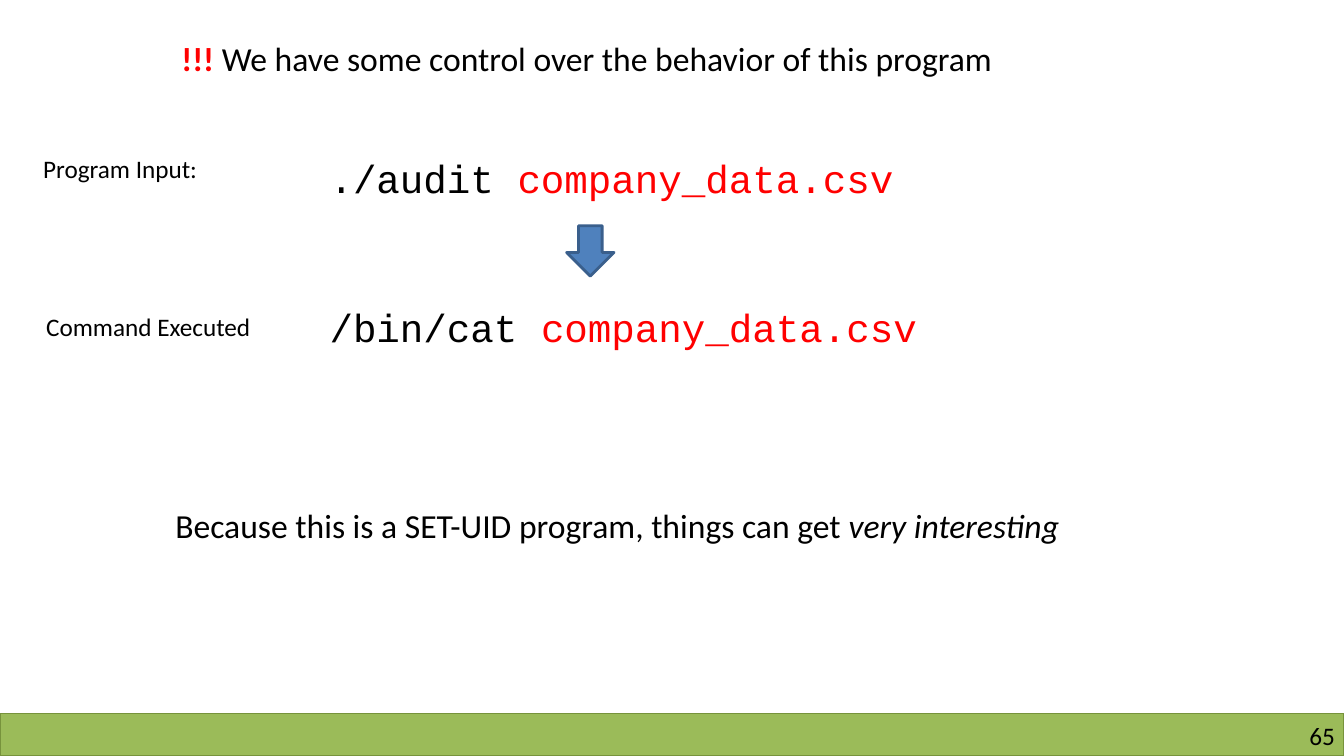
from pptx import Presentation
from pptx.dml.color import RGBColor
from pptx.enum.shapes import MSO_SHAPE
from pptx.enum.text import PP_ALIGN
from pptx.util import Inches, Pt

RECTANGLE = MSO_SHAPE.RECTANGLE
DOWN_ARROW = MSO_SHAPE.DOWN_ARROW
LEFT, RIGHT = PP_ALIGN.LEFT, PP_ALIGN.RIGHT

COLORS = {
    "text": "000000",
    "input": "FF0000",
    "bar": "9BBB59",
    "bar_line": "77933C",
    "arrow": "4F81BD",
    "arrow_line": "3A5F8C",
}
REMARK = {"name": "Calibri", "size": Pt(24)}
LABEL = {"name": "Calibri", "size": Pt(18)}
CODE = {"name": "Courier New", "size": Pt(28)}
DATA_FILE = ("company_data.csv", "input", {})


def color(key):
    return RGBColor.from_string(COLORS[key])


def add_text(slide, box, runs, style, align=LEFT, margins=None):
    """Place one line of text; each run is (words, colour key, extra format)."""
    frame = slide.shapes.add_textbox(*map(Inches, box)).text_frame
    frame.word_wrap = True
    for name, value in (margins or {}).items():
        setattr(frame, name, value)
    line = frame.paragraphs[0]
    line.alignment = align
    for words, color_key, extra in runs:
        run = line.add_run()
        run.text = words
        for name, value in {**style, **extra}.items():
            setattr(run.font, name, value)
        run.font.color.rgb = color(color_key)


def add_filled(slide, preset, box, fill, outline, weight):
    shape = slide.shapes.add_shape(preset, *map(Inches, box))
    shape.shadow.inherit = False
    shape.fill.solid()
    shape.fill.fore_color.rgb = color(fill)
    shape.line.color.rgb = color(outline)
    shape.line.width = Pt(weight)


def add_footer(slide, box, number):
    left, top, width, height = box
    add_filled(slide, RECTANGLE, box, "bar", "bar_line", 1)
    no_margins = {f"margin_{side}": 0 for side in ("left", "top", "right", "bottom")}
    add_text(slide, (left + width - 3.16, top + 0.07, 3.07, 0.3),
             [(number, "text", {})], LABEL, RIGHT, no_margins)


def add_command_flow(slide, box):
    """Program input above, resulting command below, arrow between."""
    left, top, width, _ = box
    code_left = left + 2.84
    code_width = width - 2.84
    # Program input
    add_text(slide, (left, top, 2.5, 0.4), [("Program Input:", "text", {})], LABEL)
    add_text(slide, (code_left, top + 0.01, code_width, 0.57),
             [("./audit ", "text", {}), DATA_FILE], CODE)
    # Arrow
    add_filled(slide, DOWN_ARROW, (left + 5.29, top + 0.77, 0.47, 0.5),
               "arrow", "arrow_line", 2)
    # Command executed
    add_text(slide, (left + 0.03, top + 1.57, 2.56, 0.4),
             [("Command Executed", "text", {})], LABEL)
    add_text(slide, (code_left, top + 1.49, code_width, 0.57),
             [("/bin/cat ", "text", {}), DATA_FILE], CODE)


def main():
    deck = Presentation()
    deck.slide_width, deck.slide_height = Inches(13.33), Inches(7.5)
    slide = deck.slides.add_slide(deck.slide_layouts[6])

    add_footer(slide, (0, 7.08, 13.33, 0.42), "65")
    add_command_flow(slide, (0.33, 1.47, 8.95, 2.06))

    # Remarks above and below the commands
    add_text(slide, (1.7, 0.33, 9.02, 0.5), [
        ("!!!", "input", {"bold": True}),
        (" We have some control over the behavior of this program", "text", {}),
    ], REMARK)
    add_text(slide, (1.64, 4.96, 10.19, 0.5), [
        ("Because this is a SET-UID program, things can get ", "text", {}),
        ("very interesting", "text", {"italic": True}),
    ], REMARK)

    deck.save("out.pptx")


if __name__ == "__main__":
    main()
